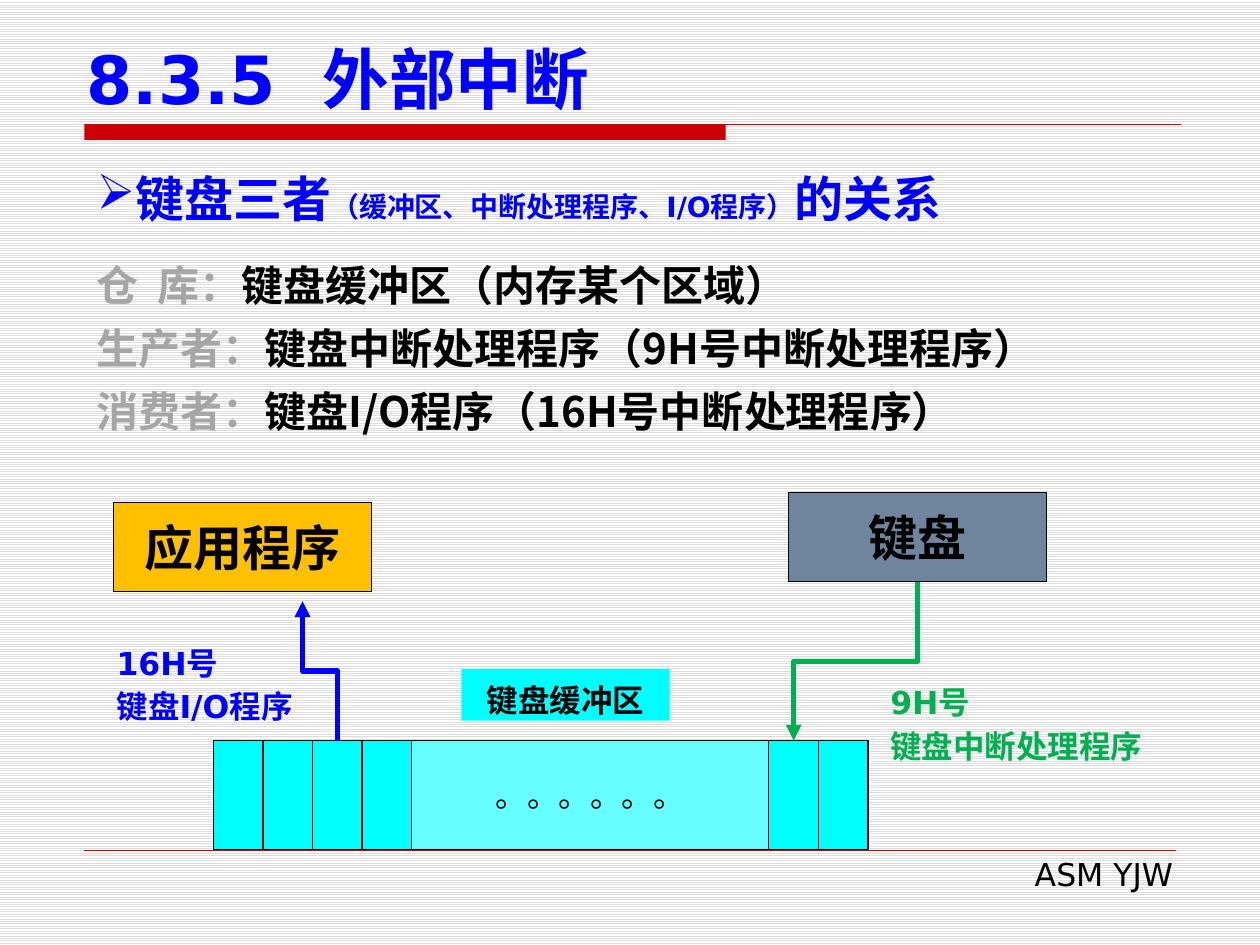
from pptx import Presentation
from pptx.dml.color import RGBColor
from pptx.enum.dml import MSO_PATTERN
from pptx.enum.shapes import MSO_CONNECTOR as Link, MSO_SHAPE as Kind
from pptx.enum.text import MSO_ANCHOR as Anchor, MSO_AUTO_SIZE as Auto, PP_ALIGN as Align
from pptx.oxml.ns import qn
from pptx.util import Cm, Pt
from lxml.etree import SubElement as Sub

INK = {"red": "CC0000", "blue": "0000FF", "green": "00B050", "black": "000000",
       "grey": "A6A6A6", "amber": "FFC000", "slate": "6E859D", "cyan": "00FFFF",
       "pale": "66FFFF", "white": "FFFFFF", "rule": "DDDDDD"}
HUE = {name: RGBColor.from_string(code) for name, code in INK.items()}
SANS, CJK = "DejaVu Sans", "Noto Sans CJK SC"

deck = Presentation()
deck.slide_width, deck.slide_height = Cm(25.4), Cm(19.05)
slide = deck.slides.add_slide(deck.slide_layouts[6])
shapes = slide.shapes

back = slide.background.fill
back.patterned()
back.pattern = MSO_PATTERN.LIGHT_HORIZONTAL
back.fore_color.rgb, back.back_color.rgb = HUE["rule"], HUE["white"]


def write(shape, lines, align=Align.LEFT, anchor=Anchor.TOP, wrap=True,
          pitch=None, face=SANS, bold=True):
    """Fill a shape with lines, each a list of (text, size, colour) runs."""
    frame = shape.text_frame
    frame.word_wrap, frame.vertical_anchor = wrap, anchor
    frame.auto_size = Auto.NONE
    for i, parts in enumerate(lines):
        para = frame.paragraphs[0] if i == 0 else frame.add_paragraph()
        para.alignment = align
        if pitch:
            para.line_spacing = Pt(pitch)
        for text, size, hue in parts:
            run = para.add_run()
            run.text = text
            font = run.font
            font.name, font.size, font.bold = face, Pt(size), bold
            font.color.rgb = HUE[hue]
            Sub(run._r.rPr, qn("a:ea")).set("typeface", CJK)


def block(x, y, w, h, hue, edge="black"):
    """Add a filled rectangle, outlined unless edge is None."""
    rect = shapes.add_shape(Kind.RECTANGLE, Cm(x), Cm(y), Cm(w), Cm(h))
    rect.shadow.inherit = False
    rect.fill.solid()
    rect.fill.fore_color.rgb = HUE[hue]
    if edge:
        rect.line.color.rgb, rect.line.width = HUE[edge], Pt(0.75)
    else:
        rect.line.fill.background()
    return rect


# Title bar and footer rule
block(1.7, 2.51, 12.93, 0.31, "red", None)
for y, end, width in [(2.51, 23.8, 0.75), (17.14, 23.7, 0.25)]:
    rule = shapes.add_connector(Link.STRAIGHT, Cm(1.7), Cm(y), Cm(end), Cm(y))
    rule.line.color.rgb, rule.line.width = HUE["red"], Pt(width)
    Sub(rule._element.spPr, qn("a:effectLst"))

foot = shapes.add_textbox(Cm(9.7), Cm(17.12), Cm(14.2), Cm(1.02))
write(foot, [[("ASM YJW", 18, "black")]], Align.RIGHT, bold=False)

title = shapes.add_textbox(Cm(1.5), Cm(0.71), Cm(23), Cm(1.8))
write(title, [[("8.3.5  外部中断", 38, "blue")]], anchor=Anchor.BOTTOM)

# Bulleted heading
head = shapes.add_textbox(Cm(1.7), Cm(3.28), Cm(22), Cm(1.45))
props = head.text_frame.paragraphs[0]._p.get_or_add_pPr()
props.set("marL", "0")
props.set("indent", "0")
Sub(props, qn("a:buChar")).set("char", "➢")
write(head, [[("键盘三者", 28, "blue"),
              ("（缓冲区、中断处理程序、I/O程序）", 16, "blue"),
              ("的关系", 28, "blue")]], Align.JUSTIFY)

# Source and target of the keys
for x, y, hue, text in [(2.29, 10.13, "amber", "应用程序"),
                        (15.9, 9.93, "slate", "键盘")]:
    write(block(x, y, 5.2, 1.8, hue), [[(text, 28, "black")]],
          Align.CENTER, Anchor.MIDDLE, False)

# Buffer cells, 1 cm each, around a wide middle part
left, top, tall, wide = 4.3, 14.93, 2.2, 7.2
for i in range(4):
    block(left + i, top, 1, tall, "cyan")
mid = block(left + 4, top, wide, tall, "pale")
write(mid, [[("。。。。。。", 18, "black")]], Align.CENTER, Anchor.MIDDLE, False, bold=False)
for i in range(2):
    block(left + 4 + wide + i, top, 1, tall, "cyan")

# Elbow arrows that leave and arrive upright: laid flat, then turned by 90 degrees
for x1, y1, x2, y2, hue in [(6.8, top, 6.1, 12.12, "blue"),
                            (18.5, 11.73, 16, top, "green")]:
    cx, cy = (x1 + x2) / 2, (y1 + y2) / 2
    dx, dy = x1 - cx, y1 - cy
    arrow = shapes.add_connector(Link.ELBOW, Cm(cx + dy), Cm(cy - dx),
                                 Cm(cx - dy), Cm(cy + dx))
    arrow.rotation = 90
    props = arrow._element.spPr
    props.find(qn("a:xfrm")).set("rot", str(90 * 60000))
    arrow.line.color.rgb, arrow.line.width = HUE[hue], Pt(3)
    Sub(arrow.line._get_or_add_ln(), qn("a:tailEnd")).set("type", "triangle")
    Sub(props, qn("a:effectLst"))

# Arrow labels
for x, y, w, hue, lines in [
        (2.1, 12.73, 4.8, "blue", ["16H号", "键盘I/O程序"]),
        (17.7, 13.52, 6.4, "green", ["9H号", "键盘中断处理程序"])]:
    note = shapes.add_textbox(Cm(x), Cm(y), Cm(w), Cm(2))
    write(note, [[(text, 18, hue)] for text in lines], pitch=25)

name = block(9.3, 13.49, 4.2, 1.04, "cyan", None)
write(name, [[("键盘缓冲区", 18, "black")]], Align.CENTER, pitch=25)

# Roles
roles = [("仓  库：", "键盘缓冲区（内存某个区域）"),
         ("生产者：", "键盘中断处理程序（9H号中断处理程序）"),
         ("消费者：", "键盘I/O程序（16H号中断处理程序）")]
body = shapes.add_textbox(Cm(1.7), Cm(4.85), Cm(22), Cm(4.11))
write(body, [[(role, 24, "grey"), (part, 24, "black")] for role, part in roles],
      pitch=36, face=CJK)

deck.save("out.pptx")
